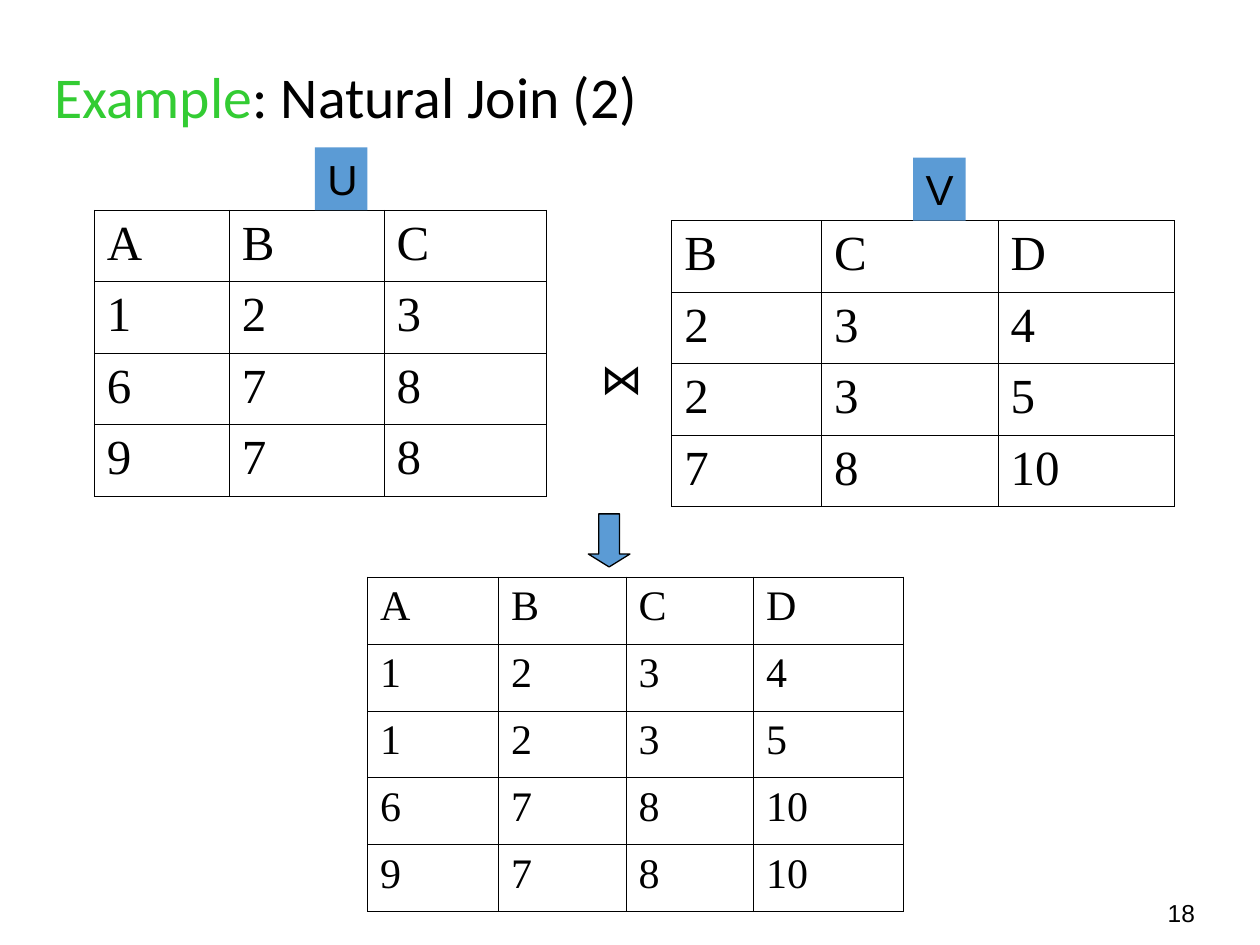
from lxml.etree import SubElement
from pptx import Presentation
from pptx.dml.color import RGBColor
from pptx.enum.shapes import MSO_SHAPE as Shape
from pptx.enum.text import MSO_ANCHOR as Anchor, MSO_AUTO_SIZE as Fit, PP_ALIGN as Align
from pptx.oxml.ns import qn
from pptx.util import Cm, Pt

BLACK = RGBColor(0x00, 0x00, 0x00)
GREEN = RGBColor(0x33, 0xCC, 0x33)
BLUE = RGBColor(0x5B, 0x9B, 0xD5)
TAG_W, TAG_H = 1.06, 1.27


def style(run, size, font, color=BLACK):
    run.font.size = Pt(size)
    run.font.name = font
    run.font.color.rgb = color


def add_text(slide, box, text, size, wrap=True):
    frame = slide.shapes.add_textbox(*map(Cm, box)).text_frame
    frame.text = text
    frame.word_wrap = wrap
    frame.auto_size = Fit.SHAPE_TO_FIT_TEXT
    style(frame.paragraphs[0].runs[0], size, "Arial")


def add_title(slide, box, lead, rest):
    frame = slide.shapes.add_textbox(*map(Cm, box)).text_frame
    frame.word_wrap = True
    frame.vertical_anchor = Anchor.MIDDLE
    line = frame.paragraphs[0]
    line.line_spacing = 0.9
    for text, color in ((lead, GREEN), (rest, BLACK)):
        run = line.add_run()
        run.text = text
        style(run, 33, "Calibri", color)


def add_block(slide, kind, box):
    block = slide.shapes.add_shape(kind, *map(Cm, box))
    block.shadow.inherit = False
    block.fill.solid()
    block.fill.fore_color.rgb = BLUE
    block.line.fill.background()
    return block


def add_arrow(slide, box):
    arrow = add_block(slide, Shape.DOWN_ARROW, box)
    arrow.adjustments[0] = 0.5
    arrow.adjustments[1] = 0.31
    arrow.line.color.rgb = BLACK
    arrow.line.width = Pt(0.75)


def add_tag(slide, box, name):
    frame = add_block(slide, Shape.RECTANGLE, box).text_frame
    frame.text = name
    frame.word_wrap = True
    frame.auto_size = Fit.SHAPE_TO_FIT_TEXT
    frame.vertical_anchor = Anchor.TOP
    line = frame.paragraphs[0]
    line.alignment = Align.LEFT
    style(line.runs[0], 24, "Arial")


def add_edges(cell):
    """Rule all four sides of a cell with a thin black line."""
    props = cell._tc.get_or_add_tcPr()
    for side in ("lnL", "lnR", "lnT", "lnB"):
        edge = SubElement(props, qn(f"a:{side}"), w=str(Pt(0.45)))
        fill = SubElement(edge, qn("a:solidFill"))
        SubElement(fill, qn("a:srgbClr"), val=str(BLACK))


def add_grid(slide, left, top, widths, height, rows, size):
    """Draw a relation; each row is a string of values split by blanks."""
    rows = [row.split() for row in rows]
    frame = slide.shapes.add_table(
        len(rows), len(widths), Cm(left), Cm(top),
        Cm(sum(widths)), Cm(height * len(rows)))
    table = frame.table
    table.first_row = table.horz_banding = False
    for col, width in zip(table.columns, widths):
        col.width = Cm(width)
    for line, row in zip(table.rows, rows):
        line.height = Cm(height)
        for cell, text in zip(line.cells, row):
            add_edges(cell)
            cell.fill.background()
            cell.text = text
            style(cell.text_frame.paragraphs[0].runs[0], size, "Times New Roman")


def add_input(slide, left, top, widths, rows, name, shift):
    """Draw a joined relation with its name tag standing on the top edge."""
    add_grid(slide, left, top, widths, 1.44, rows, 28)
    add_tag(slide, (left + shift, top - TAG_H, TAG_W, TAG_H), name)


def main():
    deck = Presentation()
    deck.slide_width, deck.slide_height = Cm(25.4), Cm(19.05)
    slide = deck.slides.add_slide(deck.slide_layouts[6])
    add_text(slide, (23.29, 17.98, 1.47, 0.86), "18", 14)
    add_title(slide, (0.84, 0.43, 21.59, 3.18), "Example", ": Natural Join (2)")
    add_input(slide, 1.9, 4.24, (2.72, 3.12, 3.28),
              ("A B C", "1 2 3", "6 7 8", "9 7 8"), "U", 4.45)
    add_input(slide, 13.54, 4.45, (3.02, 3.56, 3.56),
              ("B C D", "2 3 4", "2 3 5", "7 8 10"), "V", 4.87)
    add_grid(slide, 7.41, 11.63, (2.64, 2.57, 2.57, 3.02), 1.35,
             ("A B C D", "1 2 3 4", "1 2 3 5", "6 7 8 10", "9 7 8 10"), 24)
    add_text(slide, (11.86, 6.99, 1.35, 1.27), "⋈", 24, wrap=False)
    add_arrow(slide, (11.86, 10.36, 0.84, 1.07))
    deck.save("out.pptx")


if __name__ == "__main__":
    main()
